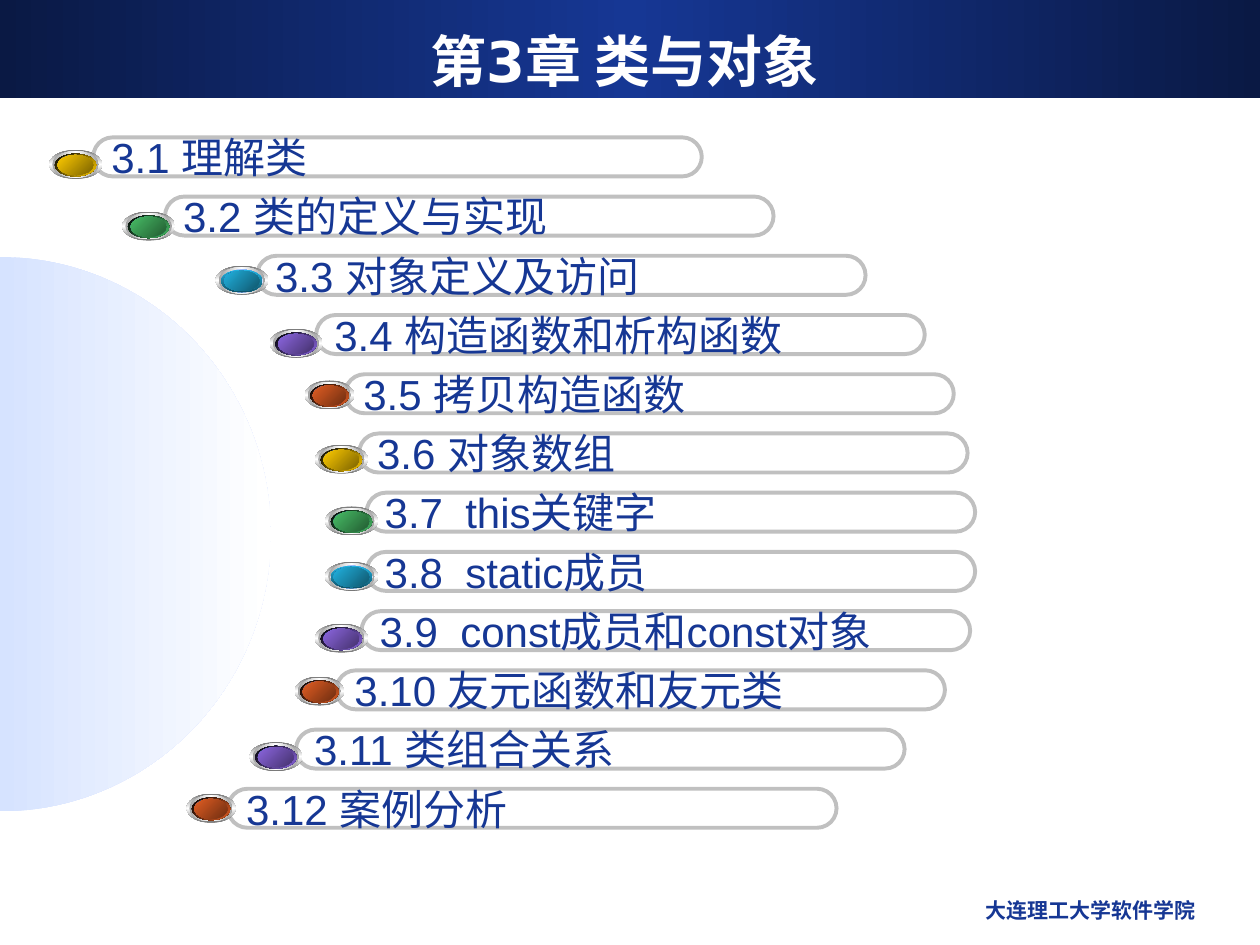
from dataclasses import dataclass
from math import cos, pi, sin

from lxml.etree import SubElement
from pptx import Presentation
from pptx.dml.color import RGBColor
from pptx.enum.shapes import MSO_SHAPE
from pptx.enum.text import MSO_ANCHOR, MSO_AUTO_SIZE, PP_ALIGN
from pptx.oxml.ns import qn
from pptx.util import Inches, Pt


@dataclass(frozen=True)
class Theme:
    navy: str = "163794"
    night: str = "0A1944"
    white: str = "FFFFFF"
    pale: str = "D6E3FF"
    sky: str = "6699FF"
    steel: str = "37538A"
    rim: str = "767676"
    inner: str = "A2A2A2"
    border: str = "C0C0C0"
    head: str = "DejaVu Sans"
    body: str = "Arial"
    title_size: int = 32
    item_size: int = 24
    foot_size: int = 12


@dataclass(frozen=True)
class Hue:
    light: str
    dark: str
    edge: tuple[str, str]
    angle: int = 45
    width: float = 0.42


@dataclass(frozen=True)
class Topic:
    text: str
    left: float
    dot_x: float
    dot_y: float
    hue: Hue


THEME = Theme()
GOLD = Hue("FFCC00", "7C6300", ("000000", "FFCC00"))
GREEN = Hue("48BE67", "235C32", ("000000", "48BE67"))
BLUE = Hue("21B3E1", "10576D", ("21B3E1", "0F5368"), angle=90)
PURPLE = Hue("8D67E1", "45326D", ("000000", "8D67E1"))
RUST = Hue("E35E23", "6E2E11", ("000000", "E35E23"), width=0.39)

TOPICS = [
    Topic("3.1 理解类", 0.74, 0.39, 1.19, GOLD),
    Topic("3.2 类的定义与实现", 1.31, 0.97, 1.68, GREEN),
    Topic("3.3 对象定义及访问", 2.04, 1.71, 2.11, BLUE),
    Topic("3.4 构造函数和析构函数", 2.51, 2.14, 2.61, PURPLE),
    Topic("3.5 拷贝构造函数", 2.74, 2.42, 3.02, RUST),
    Topic("3.6 对象数组", 2.85, 2.5, 3.53, GOLD),
    Topic("3.7\tthis关键字", 2.91, 2.58, 4.02, GREEN),
    Topic("3.8\tstatic成员", 2.91, 2.58, 4.46, BLUE),
    Topic("3.9\tconst成员和const对象", 2.87, 2.5, 4.95, PURPLE),
    Topic("3.10 友元函数和友元类", 2.67, 2.34, 5.37, RUST),
    Topic("3.11 类组合关系", 2.35, 1.98, 5.89, PURPLE),
    Topic("3.12 案例分析", 1.81, 1.48, 6.3, RUST),
]
FIRST_TOP, STEP = 1.09, 0.47
TAB_STOP = 0.64


def write(shape, text: str, *, size: int, color: str, font: str,
          bold: bool = False, align=PP_ALIGN.LEFT,
          anchor=MSO_ANCHOR.MIDDLE, wrap: bool = True):
    frame = shape.text_frame
    frame.auto_size = MSO_AUTO_SIZE.NONE
    frame.word_wrap = wrap
    frame.vertical_anchor = anchor
    para = frame.paragraphs[0]
    para.alignment = align
    run = para.add_run()
    run.text = text
    run.font.size = Pt(size)
    run.font.name = font
    run.font.bold = bold
    run.font.color.rgb = RGBColor.from_string(color)
    return para


def shade(shape, colors: tuple[str, ...], angle: int = 0) -> None:
    """Fill with evenly spaced colour stops; the angle runs clockwise."""
    shape.shadow.inherit = False
    shape.line.fill.background()
    shape.fill.gradient()
    shape.fill.gradient_angle = (360 - angle) % 360
    stops = shape._element.spPr.find(qn("a:gradFill")).find(qn("a:gsLst"))
    for stop in list(stops):
        stops.remove(stop)
    for i, color in enumerate(colors):
        pos = round(100000 * i / (len(colors) - 1))
        stop = SubElement(stops, qn("a:gs"), pos=str(pos))
        SubElement(stop, qn("a:srgbClr"), val=color)


def add_shape(shapes, kind, left: float, top: float, width: float, height: float):
    return shapes.add_shape(kind, Inches(left), Inches(top),
                            Inches(width), Inches(height))


def add_disc(shapes) -> None:
    """Draw the half disc that rises from the left edge."""
    mid, wide, high, count = 4.24, 2.15, 2.2, 90
    turns = [pi * i / count - pi / 2 for i in range(count + 1)]
    points = [(Inches(wide * cos(t)), Inches(mid + high * sin(t))) for t in turns]
    path = shapes.build_freeform(*points[0])
    path.add_line_segments(points[1:], close=True)
    shade(path.convert_to_shape(), (THEME.pale, THEME.white))


def add_pill(shapes, topic: Topic, top: float) -> None:
    pill = add_shape(shapes, MSO_SHAPE.ROUNDED_RECTANGLE, topic.left, top, 4.83, 0.31)
    pill.adjustments[0] = 0.5
    pill.shadow.inherit = False
    pill.fill.background()
    pill.line.color.rgb = RGBColor.from_string(THEME.border)
    pill.line.width = Pt(2.25)
    para = write(pill, topic.text, size=THEME.item_size, color=THEME.navy,
                 font=THEME.body, wrap=False)
    if "\t" in topic.text:
        tabs = SubElement(para._p.get_or_add_pPr(), qn("a:tabLst"))
        SubElement(tabs, qn("a:tab"), pos=str(Inches(TAB_STOP)), algn="l")


def add_dot(shapes, topic: Topic) -> None:
    """Stack six shaded ovals into one glossy button."""
    hue = topic.hue
    ring, band = (0.11, 0.03, 0.78, 0.18), (0.16, 0.04, 0.67, 0.16)
    layers = [
        ((0, 0, 1, 0.23), (THEME.rim, THEME.white, THEME.rim), 90),
        ((0.06, 0.01, 0.88, 0.21), (THEME.inner, THEME.white, THEME.inner), 0),
        (ring, (THEME.white, THEME.sky, THEME.white), 45),
        (ring, hue.edge, hue.angle),
        (band, (THEME.steel, THEME.sky, THEME.steel), 315),
        (band, (hue.light, hue.dark), 45),
    ]
    group = shapes.add_group_shape()
    for (dx, dy, wide, high), colors, angle in layers:
        oval = add_shape(group.shapes, MSO_SHAPE.OVAL, topic.dot_x + dx * hue.width,
                         topic.dot_y + dy, wide * hue.width, high)
        shade(oval, colors, angle)


def main() -> None:
    deck = Presentation()
    deck.slide_width, deck.slide_height = Inches(10), Inches(7.5)
    slide = deck.slides.add_slide(deck.slide_layouts[5])
    shapes = slide.shapes

    bar = add_shape(shapes, MSO_SHAPE.RECTANGLE, 0, 0, 10, 0.78)
    shade(bar, (THEME.night, THEME.navy, THEME.night))
    title = shapes.title
    title._element.addprevious(bar._element)
    title.left, title.top = Inches(0.33), Inches(0.17)
    title.width, title.height = Inches(9.25), Inches(0.62)
    write(title, "第3章 类与对象", size=THEME.title_size, color=THEME.white,
          font=THEME.head, bold=True, align=PP_ALIGN.CENTER)

    foot = shapes.add_textbox(Inches(6.42), Inches(7.07), Inches(3.17), Inches(0.35))
    write(foot, "大连理工大学软件学院", size=THEME.foot_size, color=THEME.navy,
          font=THEME.head, bold=True, align=PP_ALIGN.RIGHT, anchor=MSO_ANCHOR.TOP)

    add_disc(shapes)
    for i, topic in enumerate(TOPICS):
        add_pill(shapes, topic, FIRST_TOP + i * STEP)
        add_dot(shapes, topic)
    deck.save("out.pptx")


if __name__ == "__main__":
    main()
